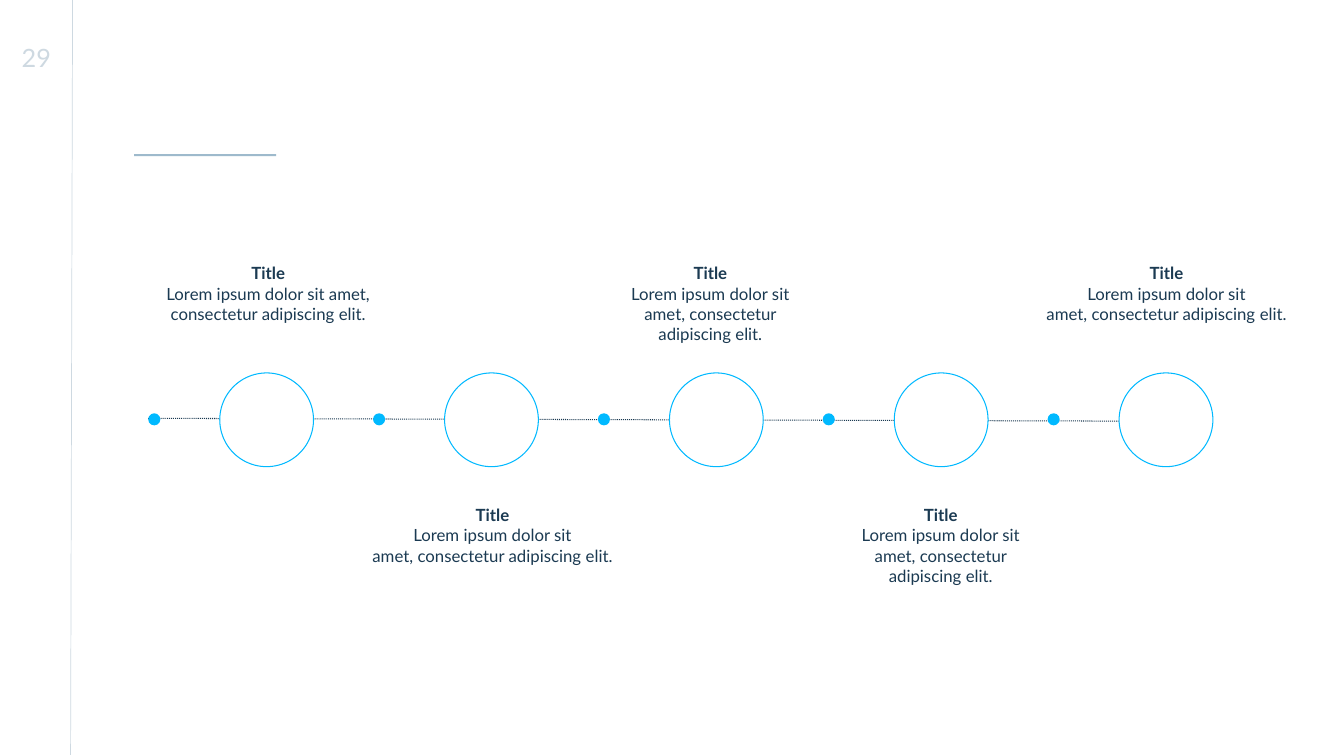
from pptx import Presentation
from pptx.dml.color import RGBColor
from pptx.enum.dml import MSO_LINE
from pptx.enum.shapes import MSO_CONNECTOR, MSO_SHAPE
from pptx.enum.text import PP_ALIGN
from pptx.oxml.ns import qn
from pptx.util import Inches, Pt
from lxml import etree

OVAL, RECT = MSO_SHAPE.OVAL, MSO_SHAPE.RECTANGLE
STRAIGHT = MSO_CONNECTOR.STRAIGHT
DOTS = MSO_LINE.ROUND_DOT
CENTER = PP_ALIGN.CENTER
NAVY = RGBColor(0x1B, 0x3A, 0x52)
BLUE = RGBColor(0x00, 0xB9, 0xFF)
PALE = RGBColor(0xCE, 0xD9, 0xE1)
STEEL = RGBColor(0x9E, 0xBA, 0xCC)
WHITE = RGBColor(0xFF, 0xFF, 0xFF)
FONT = "Lato"

deck = Presentation()
deck.slide_width, deck.slide_height = Inches(13.33), Inches(7.5)
slide = deck.slides.add_slide(deck.slide_layouts[6])
shapes = slide.shapes


def add_text(lines, left, top, width, height, size=12, color=NAVY, inset=0, lead=False):
    """Add centred lines; lead makes the first one bold."""
    box = shapes.add_textbox(Inches(left), Inches(top), Inches(width), Inches(height))
    frame = box.text_frame
    frame.word_wrap = True
    frame.margin_left = frame.margin_right = Inches(2 * inset)
    frame.margin_top = frame.margin_bottom = Inches(inset)
    for i, line in enumerate(lines):
        para = frame.paragraphs[0] if i == 0 else frame.add_paragraph()
        para.alignment = CENTER
        run = para.add_run()
        run.text = line
        font = run.font
        font.name, font.size, font.bold = FONT, Pt(size), lead and i == 0
        font.color.rgb = color


def add_mark(kind, left, top, width, height, fill, edge=None):
    """Add a flat shape with an optional thin outline."""
    mark = shapes.add_shape(kind, Inches(left), Inches(top), Inches(width), Inches(height))
    mark.shadow.inherit = False
    mark.fill.solid()
    mark.fill.fore_color.rgb = fill
    if edge is None:
        mark.line.fill.background()
    else:
        mark.line.color.rgb = edge
        mark.line.width = Pt(0.75)


# Side rule and dotted timeline
for x1, y1, x2, y2, color, weight, dash in [
    (0.72, 0, 0.7, 7.49, PALE, 0.5, None),
    (1.47, 4.15, 11.94, 4.18, NAVY, 0.75, DOTS),
]:
    rule = shapes.add_connector(STRAIGHT, Inches(x1), Inches(y1), Inches(x2), Inches(y2))
    rule.line.color.rgb = color
    rule.line.width = Pt(weight)
    if dash is not None:
        rule.line.dash_style = dash
    etree.SubElement(rule._element.spPr, qn("a:effectLst"))

# Page number and accent bar
add_text(["29"], 0, 0.37, 0.72, 0.4, size=18, color=PALE, inset=0.05)
add_mark(RECT, 1.33, 1.53, 1.41, 0.02, STEEL)

# Five steps: ring, dot and caption, with captions above and below in turn
HARD = chr(160)  # no-break space
LOOSE = f"Lorem ipsum dolor sit amet, consectetur adipiscing{HARD}elit."
TIGHT = f"Lorem ipsum dolor sit amet,{HARD}consectetur adipiscing{HARD}elit."
STEP = 2.23
steps = [
    (1.52, 2.28, 0.61, LOOSE),
    (3.57, 2.63, 0.61, TIGHT),
    (5.99, 2.11, 0.81, TIGHT),
    (8.19, 2.28, 0.81, TIGHT),
    (10.29, 2.56, 0.61, TIGHT),
]
for i, (left, width, height, body) in enumerate(steps):
    add_mark(OVAL, 2.18 + i * STEP, 3.7, 0.93, 0.93, WHITE, edge=BLUE)
    add_mark(OVAL, 1.47 + i * STEP, 4.1, 0.12, 0.12, BLUE)
    top = 5.01 if i % 2 else 2.61
    add_text(["Title", body], left, top, width, height, lead=True)

deck.save("out.pptx")
